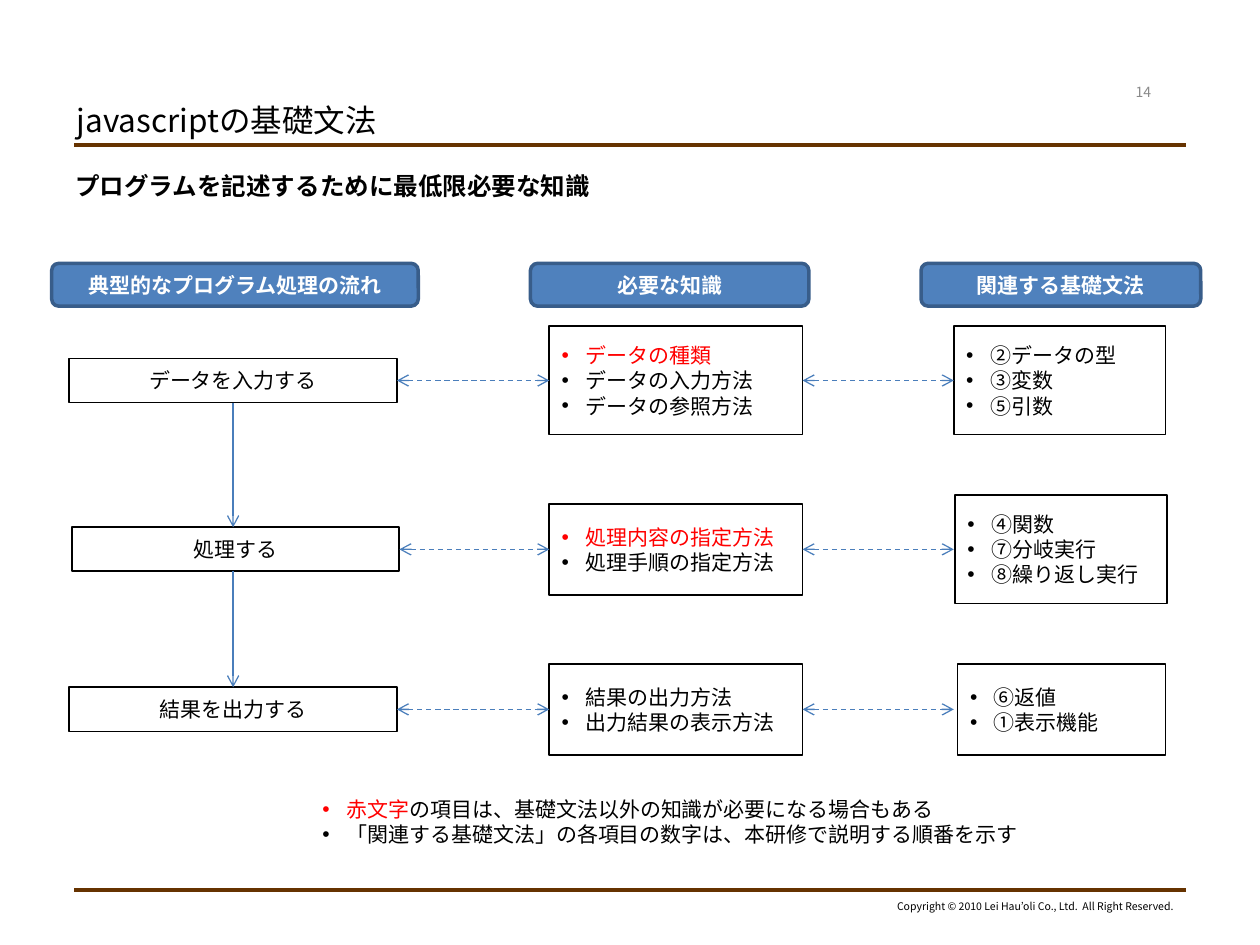
from lxml.etree import SubElement
from pptx import Presentation
from pptx.dml.color import RGBColor
from pptx.enum.dml import MSO_LINE
from pptx.enum.shapes import MSO_CONNECTOR, MSO_SHAPE
from pptx.enum.text import MSO_ANCHOR, PP_ALIGN
from pptx.oxml.ns import qn
from pptx.util import Inches, Pt

COLORS = {"black": "000000", "red": "FF0000", "white": "FFFFFF", "gray": "898989",
          "brown": "663300", "header": "4F81BD", "header_edge": "385D8A", "arrow": "4A7EBB"}
GOTHIC = "Noto Sans CJK JP"
ROW_CENTERS = [3.02, 4.36, 5.63]
HEADERS = [("典型的なプログラム処理の流れ", 0.41, 2.91),
           ("必要な知識", 4.21, 2.21),
           ("関連する基礎文法", 7.31, 2.22)]
STEPS = [("データを入力する", 0.55), ("処理する", 0.57), ("結果を出力する", 0.55)]
STEP_WIDTH, STEP_HEIGHT = 2.6, 0.35
KNOWLEDGE = [
    (4.36, 2.01, 0.86, [[("データの種類", "red")], [("データの入力方法", "black")],
                        [("データの参照方法", "black")]]),
    (4.36, 2.01, 0.72, [[("処理内容の指定方法", "red")], [("処理手順の指定方法", "black")]]),
    (4.36, 2.01, 0.72, [[("結果の出力方法", "black")], [("出力結果の表示方法", "black")]]),
]
GRAMMAR = [
    (7.57, 1.68, 0.86, [[("②データの型", "black")], [("③変数", "black")], [("⑤引数", "black")]]),
    (7.58, 1.68, 0.86, [[("④関数", "black")], [("⑦分岐実行", "black")],
                        [("⑧繰り返し実行", "black")]]),
    (7.6, 1.65, 0.72, [[("⑥返値", "black")], [("①表示機能", "black")]]),
]
NOTES = [[("赤文字", "red"), ("の項目は、基礎文法以外の知識が必要になる場合もある", "black")],
         [("「関連する基礎文法」の各項目の数字は、本研修で説明する順番を示す", "black")]]


def rgb(name):
    return RGBColor.from_string(COLORS[name])


def format_run(run, size, color, bold=False, face=GOTHIC):
    run.font.size = Pt(size)
    run.font.bold = bold
    run.font.color.rgb = rgb(color)
    run.font.name = face
    SubElement(run.font._element, qn("a:ea")).set("typeface", GOTHIC)


def set_label(frame, text, size, color, align, bold=False):
    frame.text = text
    paragraph = frame.paragraphs[0]
    paragraph.alignment = align
    format_run(paragraph.runs[0], size, color, bold)


def set_bullets(frame, items, face=GOTHIC):
    for index, item in enumerate(items):
        paragraph = frame.paragraphs[0] if index == 0 else frame.add_paragraph()
        paragraph.alignment = PP_ALIGN.LEFT
        properties = paragraph._p.get_or_add_pPr()
        properties.set("marL", str(Inches(0.19)))
        properties.set("indent", str(-Inches(0.19)))
        bullet_color = SubElement(properties, qn("a:buClr"))
        SubElement(bullet_color, qn("a:srgbClr")).set("val", COLORS[item[0][1]])
        SubElement(properties, qn("a:buFont")).set("typeface", "Arial")
        SubElement(properties, qn("a:buChar")).set("char", "•")
        for text, color in item:
            run = paragraph.add_run()
            run.text = text
            format_run(run, 12, color, face=face)


def add_text(slide, left, top, width, height, anchor=MSO_ANCHOR.TOP, wrap=True):
    frame = slide.shapes.add_textbox(
        Inches(left), Inches(top), Inches(width), Inches(height)).text_frame
    frame.word_wrap = wrap
    frame.vertical_anchor = anchor
    return frame


def add_box(slide, left, center, width, height, kind=MSO_SHAPE.RECTANGLE,
            fill=None, edge="black", weight=1):
    box = slide.shapes.add_shape(kind, Inches(left), Inches(center - height / 2),
                                 Inches(width), Inches(height))
    box.shadow.inherit = False
    if fill:
        box.fill.solid()
        box.fill.fore_color.rgb = rgb(fill)
    else:
        box.fill.background()
    box.line.color.rgb = rgb(edge)
    box.line.width = Pt(weight)
    box.text_frame.vertical_anchor = MSO_ANCHOR.MIDDLE
    return box.text_frame


def add_line(slide, start, end, color, weight, ends=(), dashed=False):
    line = slide.shapes.add_connector(MSO_CONNECTOR.STRAIGHT,
                                      *(Inches(value) for value in start + end))
    line.line.color.rgb = rgb(color)
    line.line.width = Pt(weight)
    if dashed:
        line.line.dash_style = MSO_LINE.DASH
    outline = line.line._get_or_add_ln()
    for end_name in ends:
        SubElement(outline, qn(f"a:{end_name}")).set("type", "arrow")
    SubElement(line._element.spPr, qn("a:effectLst"))


def add_frame(slide):
    for y in (1.15, 7.06):
        add_line(slide, (0.59, y), (9.41, y), "brown", 2.25)
    set_label(add_text(slide, 6.99, 7.09, 2.42, 0.2, wrap=False),
              "Copyright © 2010 Lei Hau’oli Co., Ltd.  All Right Reserved.",
              6, "black", PP_ALIGN.RIGHT)
    set_label(add_text(slide, 8.78, 0.61, 0.59, 0.24, MSO_ANCHOR.MIDDLE),
              "14", 8, "gray", PP_ALIGN.CENTER)


def add_heading(slide):
    set_label(add_text(slide, 0.51, 0.76, 5.68, 0.39, MSO_ANCHOR.MIDDLE),
              "javascriptの基礎文法", 18, "black", PP_ALIGN.LEFT)
    set_label(add_text(slide, 0.5, 1.31, 9, 0.4),
              "プログラムを記述するために最低限必要な知識", 14, "black", PP_ALIGN.LEFT, True)


def add_headers(slide, center):
    for text, left, width in HEADERS:
        frame = add_box(slide, left, center, width, 0.34, MSO_SHAPE.ROUNDED_RECTANGLE,
                        "header", "header_edge", 2)
        set_label(frame, text, 12, "white", PP_ALIGN.CENTER, True)


def add_steps(slide):
    for (text, left), center in zip(STEPS, ROW_CENTERS):
        frame = add_box(slide, left, center, STEP_WIDTH, STEP_HEIGHT)
        set_label(frame, text, 12, "black", PP_ALIGN.CENTER)
    middle = STEPS[0][1] + STEP_WIDTH / 2
    for upper, lower in zip(ROW_CENTERS, ROW_CENTERS[1:]):
        add_line(slide, (middle, upper + STEP_HEIGHT / 2), (middle, lower - STEP_HEIGHT / 2),
                 "arrow", 0.75, ["tailEnd"])


def add_lists(slide, column):
    for (left, width, height, items), center in zip(column, ROW_CENTERS):
        set_bullets(add_box(slide, left, center, width, height), items)


def add_links(slide):
    step_edges = [left + STEP_WIDTH for _, left in STEPS]
    knowledge_left = KNOWLEDGE[0][0]
    knowledge_right = knowledge_left + KNOWLEDGE[0][1]
    for step_edge, center in zip(step_edges, ROW_CENTERS):
        for start, end in ((step_edge, knowledge_left), (knowledge_right, GRAMMAR[0][0])):
            add_line(slide, (start, center), (end, center), "arrow", 0.75,
                     ["headEnd", "tailEnd"], dashed=True)


def main():
    presentation = Presentation()
    presentation.slide_width, presentation.slide_height = Inches(10), Inches(7.5)
    slide = presentation.slides.add_slide(presentation.slide_layouts[6])
    add_frame(slide)
    add_heading(slide)
    add_headers(slide, 2.26)
    add_steps(slide)
    add_lists(slide, KNOWLEDGE)
    add_lists(slide, GRAMMAR)
    add_links(slide)
    set_bullets(add_text(slide, 2.46, 6.27, 5.72, 0.5, wrap=False), NOTES, "Courier New")
    presentation.save("out.pptx")


if __name__ == "__main__":
    main()
